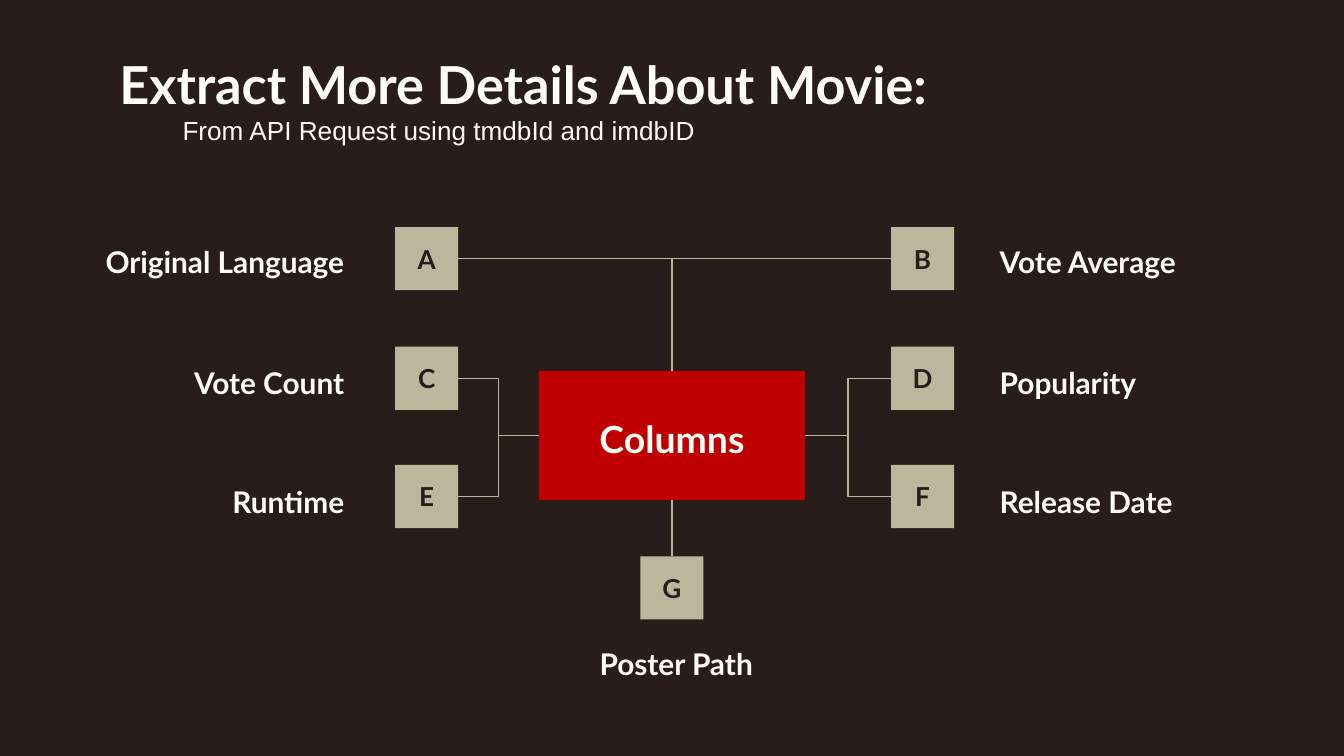
from dataclasses import dataclass

import pptx
import pptx.dml.color
import pptx.enum.shapes
import pptx.enum.text
import pptx.oxml.ns
import pptx.util
from lxml import etree

Inches = pptx.util.Inches
Pt = pptx.util.Pt
ALIGN = pptx.enum.text.PP_ALIGN
ANCHOR = pptx.enum.text.MSO_ANCHOR
CONNECTOR = pptx.enum.shapes.MSO_CONNECTOR

COLORS = {"dark": "281D1B", "light": "FEFCF6", "tan": "BDB69D", "red": "BF0000"}
TOP, LEFT, BOTTOM, RIGHT = range(4)
TILE_SIZE = 0.47
TILE_TOPS = (1.69, 2.58, 3.46)
LABEL_TOPS = (1.62, 2.52, 3.41)
LABEL_HEIGHT = 0.61
LEFT_TILE_X, RIGHT_TILE_X = 2.94, 6.63
LEFT_LABEL_END, RIGHT_LABEL_START = 2.66, 7.34


@dataclass
class Box:
    left: float
    top: float
    width: float
    height: float

    def lengths(self):
        return [Inches(v) for v in (self.left, self.top, self.width, self.height)]


@dataclass
class Column:
    letter: str
    label: str
    row: int
    on_left: bool
    label_width: float = 1.88

    def tile_box(self) -> Box:
        x = LEFT_TILE_X if self.on_left else RIGHT_TILE_X
        return Box(x, TILE_TOPS[self.row], TILE_SIZE, TILE_SIZE)

    def label_box(self) -> Box:
        x = LEFT_LABEL_END - self.label_width if self.on_left else RIGHT_LABEL_START
        return Box(x, LABEL_TOPS[self.row], self.label_width, LABEL_HEIGHT)


COLUMNS = [
    Column("A", "Original Language", 0, True, 2.05),
    Column("B", "Vote Average", 0, False),
    Column("C", "Vote Count", 1, True),
    Column("D", "Popularity", 1, False),
    Column("E", "Runtime", 2, True),
    Column("F", "Release Date", 2, False),
]
HUB = Box(4.01, 2.76, 1.98, 0.96)
HUB_CENTER = HUB.left + HUB.width / 2
POSTER_TILE = Box(HUB_CENTER - TILE_SIZE / 2, 4.14, TILE_SIZE, TILE_SIZE)
POSTER_LABEL = Box(3.82, 4.61, 1.88, LABEL_HEIGHT)


def rgb(name: str):
    return pptx.dml.color.RGBColor.from_string(COLORS[name])


def write(s, text: str, *, size=16, color="light", font="Lato", bold=True,
          align=ALIGN.LEFT, anchor=ANCHOR.MIDDLE, spacing=None, inset=0.1):
    tf = s.text_frame
    tf.word_wrap = True
    tf.vertical_anchor = anchor
    tf.margin_left = tf.margin_right = Inches(0.1)
    tf.margin_top = tf.margin_bottom = Inches(inset)
    p = tf.paragraphs[0]
    p.alignment = align
    if spacing:
        p.line_spacing = spacing
    r = p.add_run()
    r.text = text
    r.font.name = font
    r.font.size = Pt(size)
    r.font.bold = bold
    r.font.color.rgb = rgb(color)


def add_text(slide, box: Box, text: str, **fmt):
    write(slide.shapes.add_textbox(*box.lengths()), text, **fmt)


def add_block(slide, box: Box, fill: str, text: str, **fmt):
    s = slide.shapes.add_shape(pptx.enum.shapes.MSO_SHAPE.RECTANGLE, *box.lengths())
    s.shadow.inherit = False
    s.fill.solid()
    s.fill.fore_color.rgb = rgb(fill)
    s.line.fill.background()
    write(s, text, align=ALIGN.CENTER, **fmt)
    return s


def add_tile(slide, box: Box, letter: str):
    return add_block(slide, box, "tan", letter, size=14, color="dark")


def add_link(slide, end, end_side: int, begin=None, begin_side=BOTTOM,
             start=(0.0, 0.0), kind=CONNECTOR.STRAIGHT):
    x, y = (Inches(v) for v in start)
    c = slide.shapes.add_connector(kind, x, y, x, y)
    if begin is not None:
        c.begin_connect(begin, begin_side)
    c.end_connect(end, end_side)
    c.line.color.rgb = rgb("tan")
    c.line.width = Pt(0.75)
    etree.SubElement(c._element.spPr, pptx.oxml.ns.qn("a:effectLst"))


def main():
    prs = pptx.Presentation()
    prs.slide_width = Inches(10)
    prs.slide_height = prs.slide_width * 9 // 16
    slide = prs.slides.add_slide(prs.slide_layouts[6])
    slide.background.fill.solid()
    slide.background.fill.fore_color.rgb = rgb("dark")

    add_text(slide, Box(0.79, 0.29, 8.43, 0.61), "Extract More Details About Movie:",
             size=28, anchor=ANCHOR.TOP)
    add_text(slide, Box(1.26, 0.8, 5.69, 0.34),
             "From API Request using tmdbId and imdbID",
             size=14, font="Arial", bold=False, anchor=ANCHOR.TOP, inset=0.05)

    hub = add_block(slide, HUB, "red", "Columns", size=20, spacing=1.15)
    tiles = {}
    for col in COLUMNS:
        tiles[col.letter] = add_tile(slide, col.tile_box(), col.letter)
        add_text(slide, col.label_box(), col.label, spacing=1.15,
                 align=ALIGN.RIGHT if col.on_left else ALIGN.LEFT)
        if col.row > 0:
            hub_side, tile_side = (LEFT, RIGHT) if col.on_left else (RIGHT, LEFT)
            add_link(slide, tiles[col.letter], tile_side, hub, hub_side,
                     kind=CONNECTOR.ELBOW)

    poster = add_tile(slide, POSTER_TILE, "G")
    add_text(slide, POSTER_LABEL, "Poster Path", spacing=1.15, align=ALIGN.RIGHT)

    add_link(slide, tiles["B"], LEFT, tiles["A"], RIGHT)
    add_link(slide, hub, TOP, start=(HUB_CENTER, TILE_TOPS[0] + TILE_SIZE / 2))
    add_link(slide, poster, TOP, hub, BOTTOM)

    prs.save("out.pptx")


if __name__ == "__main__":
    main()
